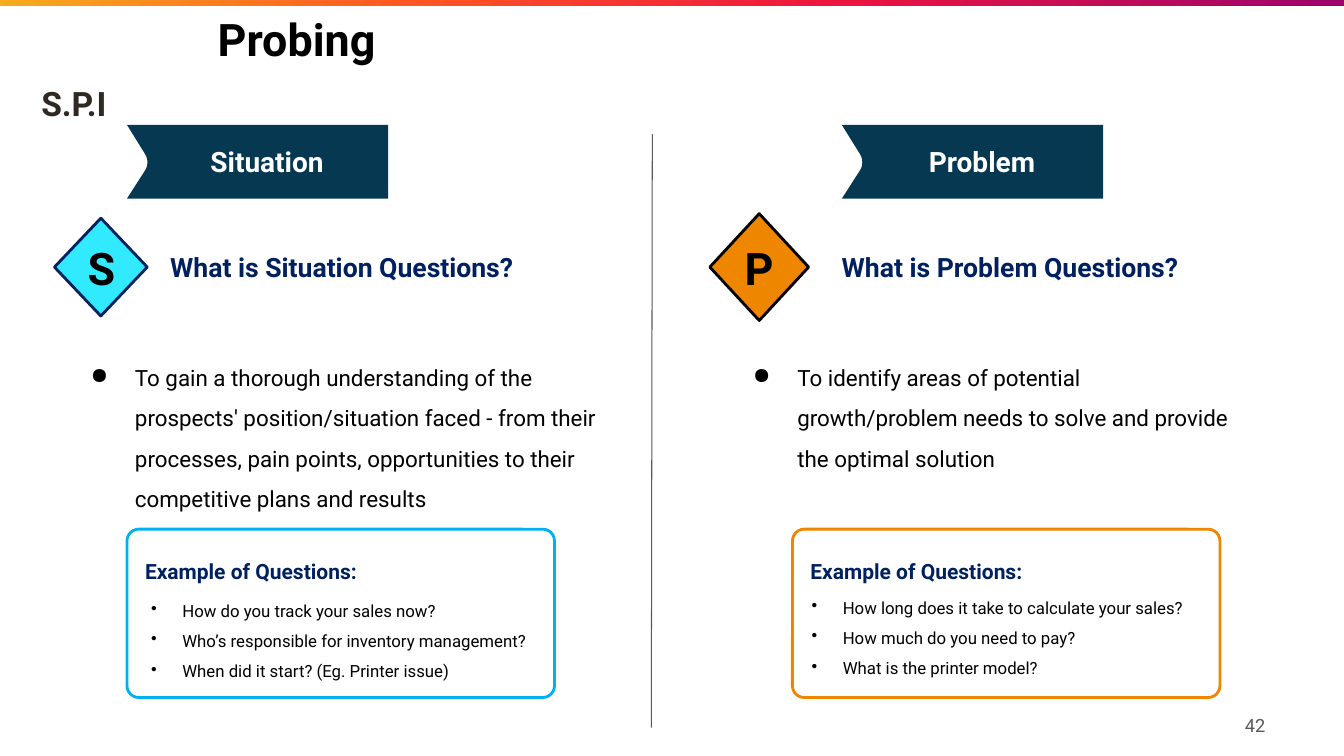
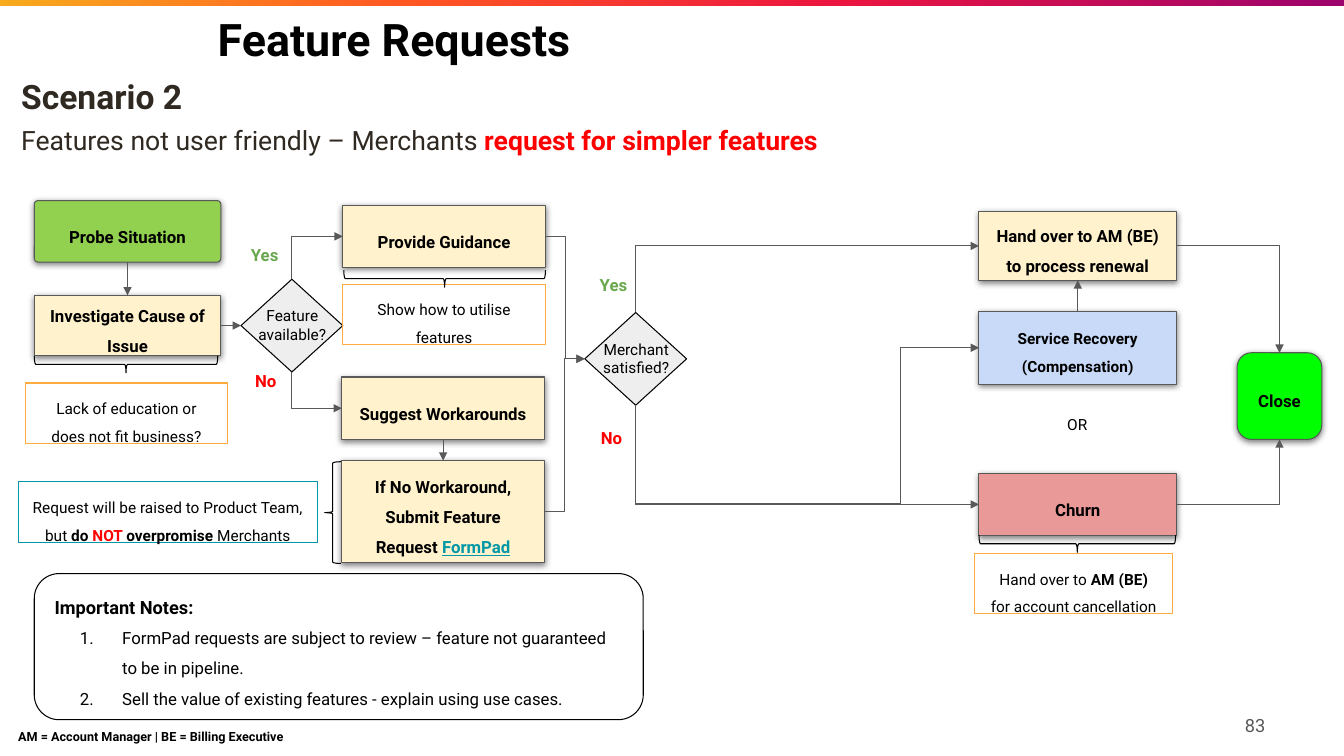
import dataclasses

import lxml.etree
import pptx
import pptx.dml.color
import pptx.enum.shapes
import pptx.enum.text
import pptx.oxml
import pptx.oxml.ns
import pptx.util

Inches = pptx.util.Inches
Shape = pptx.enum.shapes.MSO_SHAPE
Connector = pptx.enum.shapes.MSO_CONNECTOR
Align = pptx.enum.text.PP_ALIGN
Anchor = pptx.enum.text.MSO_ANCHOR
qn = pptx.oxml.ns.qn
TOP, LEFT, BOTTOM, RIGHT = range(4)


@dataclasses.dataclass(frozen=True)
class Theme:
    """Colours, font and type sizes of the deck."""
    font: str = "Roboto"
    black: str = "000000"
    white: str = "FFFFFF"
    ink: str = "2F2922"
    grey: str = "595959"
    navy: str = "002060"
    banner: str = "063951"
    cyan: str = "31EAFE"
    sky: str = "00B0F0"
    orange: str = "EF8600"
    amber: str = "FFAB40"
    teal: str = "0097A7"
    red: str = "FF0000"
    green: str = "6AA84F"
    start: str = "92D050"
    step: str = "FFF2CC"
    recovery: str = "C9DAF8"
    churn: str = "EA9999"
    close: str = "00FF00"
    decision: str = "EEEEEE"
    band: tuple = ((0, "F7AB1D"), (30, "FF5722"), (62, "EC153F"), (100, "9C036D"))
    title: int = 32
    subtitle: int = 24
    banner_size: int = 20
    lead: int = 19
    body: int = 16
    card: int = 15
    number: int = 13
    node: int = 12
    note: int = 11
    legend: int = 9


THEME = Theme()


@dataclasses.dataclass(frozen=True)
class Box:
    """A rectangle in inches."""
    left: float
    top: float
    width: float
    height: float

    def inner(self, left, top, width, height):
        """Return a box placed relative to this one."""
        return Box(self.left + left, self.top + top, width, height)

    def emu(self):
        """Return the four lengths for python-pptx."""
        return [Inches(v) for v in (self.left, self.top, self.width, self.height)]


@dataclasses.dataclass(frozen=True)
class Topic:
    """Content and placing of one question type."""
    name: str
    purpose: str
    questions: tuple
    badge_fill: str
    badge_line: str
    card_line: str
    badge: tuple
    banner_left: float
    heading_left: float
    body_left: float
    card_left: float
    list_offset: tuple


def rgb(colour):
    """Turn RRGGBB into a colour."""
    return pptx.dml.color.RGBColor.from_string(colour)


def add_bullet(paragraph, tag, margin, hanging, **attributes):
    """Give a paragraph a hanging bullet or number."""
    properties = paragraph._p.get_or_add_pPr()
    properties.set("marL", str(Inches(margin)))
    properties.set("indent", str(-Inches(hanging)))
    colour = lxml.etree.SubElement(properties, qn("a:buClr"))
    lxml.etree.SubElement(colour, qn("a:srgbClr")).set("val", THEME.black)
    lxml.etree.SubElement(properties, qn(tag), attributes)


def write(shape, paragraphs, size, colour=THEME.black, bold=False, align=Align.LEFT,
          anchor=Anchor.TOP, inset=(0.1, 0.05), spacing=None, bullet=None):
    """Fill a shape with paragraphs of text or of (text, overrides) runs."""
    frame = shape.text_frame
    frame.word_wrap = True
    frame.vertical_anchor = anchor
    frame.margin_left = frame.margin_right = Inches(inset[0])
    frame.margin_top = frame.margin_bottom = Inches(inset[1])
    for index, content in enumerate(paragraphs):
        paragraph = frame.add_paragraph() if index else frame.paragraphs[0]
        paragraph.alignment = align
        if spacing:
            paragraph.line_spacing = spacing
        if bullet:
            add_bullet(paragraph, "a:buChar", *bullet[1:], char=bullet[0])
        for text, changes in [(content, {})] if isinstance(content, str) else content:
            run = paragraph.add_run()
            run.text = text
            font = run.font
            font.name = THEME.font
            font.size = pptx.util.Pt(changes.get("size", size))
            font.bold = changes.get("bold", bold)
            font.underline = changes.get("underline")
            font.color.rgb = rgb(changes.get("colour", colour))
    return shape


def add_text(shapes, box, paragraphs, size, **style):
    """Add a text box."""
    return write(shapes.add_textbox(*box.emu()), paragraphs, size, **style)


def paint(shape, fill=None, line=None, weight=0.75):
    """Set fill and outline and drop the shadow."""
    shape.shadow.inherit = False
    if fill:
        shape.fill.solid()
        shape.fill.fore_color.rgb = rgb(fill)
    else:
        shape.fill.background()
    if line:
        shape.line.color.rgb = rgb(line)
        shape.line.width = pptx.util.Pt(weight)
    else:
        shape.line.fill.background()


def add_shape(shapes, kind, box, fill=None, line=None, weight=0.75, corner=None):
    """Add a painted preset shape."""
    shape = shapes.add_shape(kind, *box.emu())
    if corner is not None:
        shape.adjustments[0] = corner
    paint(shape, fill, line, weight)
    return shape


def style_connector(connector, arrow=True):
    """Give a connector its line, arrowhead and no shadow."""
    connector.line.color.rgb = rgb(THEME.grey)
    connector.line.width = pptx.util.Pt(0.75)
    if arrow:
        lxml.etree.SubElement(connector.line._get_or_add_ln(), qn("a:tailEnd")).set("type", "triangle")
    lxml.etree.SubElement(connector._element.spPr, qn("a:effectLst"))


def link(slide, start, start_site, end, end_site, preset=None, bends=()):
    """Join two shapes with an arrow, turning elbows that leave vertically."""
    kind = Connector.ELBOW if preset else Connector.STRAIGHT
    arrow = slide.shapes.add_connector(kind, 0, 0, 0, 0)
    arrow.begin_connect(start, start_site)
    arrow.end_connect(end, end_site)
    properties = arrow._element.spPr
    if preset:
        geometry = properties.find(qn("a:prstGeom"))
        geometry.set("prst", preset)
        guides = geometry.find(qn("a:avLst"))
        for index, bend in enumerate(bends, 1):
            lxml.etree.SubElement(guides, qn("a:gd"), name=f"adj{index}", fmla=f"val {round(bend * 100000)}")
        if start_site in (TOP, BOTTOM):
            goes_down = arrow.end_y > arrow.begin_y
            left, top, width, height = arrow.left, arrow.top, arrow.width, arrow.height
            arrow.left, arrow.top = left + (width - height) // 2, top + (height - width) // 2
            arrow.width, arrow.height = height, width
            transform = properties.find(qn("a:xfrm"))
            transform.set("rot", "16200000")
            transform.set("flipH", str(int(goes_down)))
            transform.set("flipV", "0")
    style_connector(arrow)


def add_frame(slide, title, number):
    """Draw the gradient band, title and page number."""
    band = add_shape(slide.shapes, Shape.RECTANGLE, Box(0, 0, 13.33, 0.06))
    stops = "".join(f'<a:gs pos="{pos * 1000}"><a:srgbClr val="{colour}"/></a:gs>' for pos, colour in THEME.band)
    gradient = pptx.oxml.parse_xml(
        f'<a:gradFill {pptx.oxml.ns.nsdecls("a")}><a:gsLst>{stops}</a:gsLst><a:lin ang="2700000" scaled="0"/></a:gradFill>')
    properties = band._element.spPr
    properties.replace(properties.find(qn("a:noFill")), gradient)
    add_text(slide.shapes, Box(2.13, 0, 8.46, 0.77), [title], THEME.title, bold=True,
             anchor=Anchor.MIDDLE, inset=(0.03, 0.03))
    add_text(slide.shapes, Box(11.88, 6.91, 0.8, 0.57), [number], THEME.number, colour=THEME.grey,
             align=Align.RIGHT, anchor=Anchor.MIDDLE, inset=(0.13, 0.13))


def add_subtitle(slide, box, content, size, bold):
    """Add a line under the title."""
    add_text(slide.shapes, box, [content], size, colour=THEME.ink, bold=bold,
             anchor=Anchor.MIDDLE, inset=(0.03, 0.03))


def add_banner(slide, box, name):
    """Draw a notched ribbon with its name."""
    tip = ((0.18, 0.29), (0.21, 0.34), (0.21, 0.4), (0.18, 0.45))
    curve = []
    for step in range(9):
        t = step / 8
        weights = ((1 - t) ** 3, 3 * t * (1 - t) ** 2, 3 * t * t * (1 - t), t ** 3)
        curve.append([sum(w * point[axis] for w, point in zip(weights, tip)) for axis in (0, 1)])
    outline = curve + [(0, box.height), (box.width, box.height), (box.width, 0)]
    builder = slide.shapes.build_freeform(Inches(box.left), Inches(box.top))
    builder.add_line_segments([(Inches(box.left + x), Inches(box.top + y)) for x, y in outline], close=True)
    paint(builder.convert_to_shape(), THEME.banner)
    add_text(slide.shapes, box.inner(0.54, 0.14, 1.7, 0.44), [name], THEME.banner_size,
             colour=THEME.white, bold=True, align=Align.CENTER)


def add_card(slide, box, topic):
    """Draw the grouped card of example questions."""
    shapes = slide.shapes.add_group_shape().shapes
    add_shape(shapes, Shape.ROUNDED_RECTANGLE, box, line=topic.card_line, weight=2, corner=0.07)
    add_text(shapes, box.inner(*topic.list_offset, 3.98, 1.1), topic.questions, THEME.node,
             spacing=1.5, bullet=("•", 0.32, 0.31))
    add_text(shapes, box.inner(0.08, 0.12, 3.73, 0.42), ["Example of Questions:"], THEME.card,
             colour=THEME.navy, bold=True, spacing=1.5)


def add_topic(slide, box, topic):
    """Draw one column about a question type."""
    width, height = topic.badge
    add_banner(slide, box.inner(topic.banner_left, 0, 2.59, 0.73), topic.name)
    badge = add_shape(slide.shapes, Shape.DIAMOND, box.inner(0, 1.41 - height / 2, width, height),
                      topic.badge_fill, topic.badge_line, 2)
    write(badge, [topic.name[0]], THEME.title, bold=True, align=Align.CENTER, anchor=Anchor.MIDDLE)
    add_text(slide.shapes, box.inner(topic.heading_left, 1.2, 3.83, 0.42),
             [f"What is {topic.name} Questions?"], THEME.lead, colour=THEME.navy, bold=True)
    add_text(slide.shapes, box.inner(topic.body_left, 2.19, box.width, 1.54), [topic.purpose], THEME.body,
             spacing=1.5, bullet=("●", 0.67, 0.44))
    add_card(slide, box.inner(topic.card_left, 4.01, 4.24, 1.67), topic)


def build_probing(slide):
    """Build the slide on situation and problem questions."""
    add_frame(slide, "Probing", "42")
    add_subtitle(slide, Box(0.38, 0.82, 5.23, 0.4), "S.P.I", THEME.subtitle, True)
    situation = Topic(
        "Situation", "To gain a thorough understanding of the prospects' position/situation faced - from their "
        "processes, pain points, opportunities to their competitive plans and results",
        ("How do you track your sales now?", "Who’s responsible for inventory management?",
         "When did it start? (Eg. Printer issue)"),
        THEME.cyan, THEME.navy, THEME.sky, (0.92, 0.97), 0.72, 1.05, 0.03, 0.72, (0.13, 0.56))
    problem = Topic(
        "Problem", "To identify areas of potential growth/problem needs to solve and provide the optimal solution",
        ("How long does it take to calculate your sales?", "How much do you need to pay?",
         "What is the printer model?"),
        THEME.orange, THEME.black, THEME.orange, (0.98, 1.06), 1.31, 1.21, 0.1, 0.82, (0.08, 0.53))
    add_topic(slide, Box(0.54, 1.24, 5.62, 5.68), situation)
    add_topic(slide, Box(7.04, 1.24, 5.17, 5.68), problem)
    divider = slide.shapes.add_connector(Connector.STRAIGHT, Inches(6.47), Inches(1.33), Inches(6.46), Inches(7.22))
    style_connector(divider, arrow=False)


def add_node(slide, box, lines, fill=THEME.step, size=THEME.node, corner=None):
    """Draw a shadowed step of the flow."""
    kind = Shape.RECTANGLE if corner is None else Shape.ROUNDED_RECTANGLE
    node = add_shape(slide.shapes, kind, box, fill, THEME.grey, corner=corner)
    shadow = lxml.etree.SubElement(node._element.spPr.find(qn("a:effectLst")), qn("a:outerShdw"),
                                   blurRad="57150", dist="19050", dir="5400000", algn="bl", rotWithShape="0")
    colour = lxml.etree.SubElement(shadow, qn("a:srgbClr"), val=THEME.black)
    lxml.etree.SubElement(colour, qn("a:alpha"), val="50000")
    return write(node, lines, size, bold=True, align=Align.CENTER, anchor=Anchor.MIDDLE,
                 inset=(0.13, 0.13), spacing=1.5)


def add_decision(slide, box, lines):
    """Draw a decision diamond with its question."""
    diamond = add_shape(slide.shapes, Shape.DIAMOND, box, THEME.decision, THEME.black)
    add_label(slide, box.inner(-0.28, 0.14, 1.58, 0.64), lines, THEME.black, THEME.note, False)
    return diamond


def add_label(slide, box, lines, colour, size=THEME.node, bold=True):
    """Add a loose word beside the flow."""
    add_text(slide.shapes, box, lines, size, colour=colour, bold=bold, align=Align.CENTER, inset=(0.13, 0.13))


def add_remark(slide, box, content, line=THEME.amber):
    """Draw an outlined remark."""
    write(add_shape(slide.shapes, Shape.RECTANGLE, box, line=line), [content], THEME.note,
          align=Align.CENTER, inset=(0.13, 0.07), spacing=1.5)


def add_brace(slide, box, rotation):
    """Draw a brace that fills the box once rotated."""
    if rotation == 90:
        box = box.inner((box.width - box.height) / 2, (box.height - box.width) / 2, box.height, box.width)
    add_shape(slide.shapes, Shape.RIGHT_BRACE, box, line=THEME.black).rotation = rotation


def add_flow(slide, box):
    """Draw the request flow with its remarks and arrows."""
    probe = add_node(slide, box.inner(0, 0, 1.85, 0.61), ["Probe Situation"], THEME.start, corner=0.06)
    investigate = add_node(slide, box.inner(0, 0.94, 1.85, 0.6), ["Investigate Cause of Issue"])
    guidance = add_node(slide, box.inner(3.06, 0.05, 2.01, 0.61), ["Provide Guidance"])
    workaround = add_node(slide, box.inner(3.05, 1.75, 2.01, 0.62), ["Suggest Workarounds"])
    request = add_node(slide, box.inner(3.05, 2.58, 2.01, 1.01), [
        "If No Workaround,",
        [("Submit Feature Request ", {}), ("FormPad", {"colour": THEME.teal, "underline": True})]])
    renewal = add_node(slide, box.inner(9.37, 0.11, 1.96, 0.68), ["Hand over to AM (BE) to process renewal"])
    recovery = add_node(slide, box.inner(9.37, 1.1, 1.96, 0.72), ["Service Recovery", "(Compensation)"],
                        THEME.recovery, THEME.note)
    churn = add_node(slide, box.inner(9.37, 2.71, 1.96, 0.61), ["Churn"], THEME.churn)
    close = add_node(slide, box.inner(11.93, 1.51, 0.84, 0.86), ["Close"], THEME.close, corner=0.17)
    available = add_decision(slide, box.inner(2.05, 0.78, 1.01, 0.92), ["Feature", "available?"])
    satisfied = add_decision(slide, box.inner(5.46, 1.11, 1.01, 0.92), ["Merchant", "satisfied?"])

    for left, top, word, colour in ((1.91, 0.34, "Yes", THEME.green), (1.92, 1.59, "No", THEME.red),
                                    (5.37, 0.64, "Yes", THEME.green), (5.35, 2.15, "No", THEME.red)):
        add_label(slide, box.inner(left, top, 0.75, 0.47), [word], colour)
    add_label(slide, box.inner(9.68, 2.04, 1.33, 0.45), ["OR"], THEME.black, THEME.note, False)

    add_remark(slide, box.inner(3.06, 0.83, 2.01, 0.6), "Show how to utilise features")
    add_remark(slide, box.inner(-0.09, 1.81, 2.01, 0.6), "Lack of education or does not fit business?")
    add_remark(slide, box.inner(9.33, 3.5, 1.96, 0.6), [
        ("Hand over to ", {}), ("AM (BE)", {"bold": True}), (" for account cancellation", {})])
    add_remark(slide, box.inner(-0.16, 2.79, 2.97, 0.6), [
        ("Request will be raised to Product Team, but ", {}), ("do ", {"bold": True}),
        ("NOT ", {"bold": True, "colour": THEME.red}), ("overpromise", {"bold": True}), (" Merchants", {})],
        THEME.teal)
    for left, top, width in ((0, 1.54, 1.82), (3.07, 0.69, 2), (9.37, 3.32, 1.95)):
        add_brace(slide, box.inner(left, top, width, 0.17), 90)
    add_brace(slide, box.inner(2.88, 2.59, 0.16, 1.01), 180)

    for arrow in ((probe, BOTTOM, investigate, TOP), (investigate, RIGHT, available, LEFT),
                  (workaround, BOTTOM, request, TOP), (recovery, TOP, renewal, BOTTOM),
                  (available, TOP, guidance, LEFT, "bentConnector2"),
                  (available, BOTTOM, workaround, LEFT, "bentConnector2"),
                  (guidance, RIGHT, satisfied, LEFT, "bentConnector3", (0.5,)),
                  (request, RIGHT, satisfied, LEFT, "bentConnector3", (0.5,)),
                  (satisfied, TOP, renewal, LEFT, "bentConnector2"),
                  (satisfied, BOTTOM, churn, LEFT, "bentConnector2"),
                  (satisfied, BOTTOM, recovery, LEFT, "bentConnector4", (-1.71, 0.77)),
                  (renewal, RIGHT, close, TOP, "bentConnector2"),
                  (churn, RIGHT, close, BOTTOM, "bentConnector2")):
        link(slide, *arrow)


def add_notes_panel(slide, box):
    """Draw the rounded panel of numbered notes."""
    panel = add_shape(slide.shapes, Shape.ROUNDED_RECTANGLE, box, line=THEME.black, corner=0.17)
    write(panel, [[("Important Notes:", {"size": THEME.number, "bold": True})],
                  "FormPad requests are subject to review – feature not guaranteed to be in pipeline.",
                  "Sell the value of existing features - explain using use cases."],
          THEME.node, anchor=Anchor.MIDDLE, inset=(0.13, 0.07), spacing=1.5)
    for paragraph in panel.text_frame.paragraphs[1:]:
        add_bullet(paragraph, "a:buAutoNum", 0.67, 0.42, type="arabicPeriod")


def build_requests(slide):
    """Build the slide on handling feature requests."""
    add_frame(slide, "Feature Requests", "83")
    add_subtitle(slide, Box(0.18, 0.75, 10.78, 0.4), "Scenario 2", THEME.subtitle, True)
    add_subtitle(slide, Box(0.18, 1.19, 11.45, 0.4), [
        ("Features not user friendly – Merchants ", {}),
        ("request for simpler features", {"colour": THEME.red, "bold": True})], THEME.lead, False)
    add_flow(slide, Box(0.34, 1.99, 12.77, 4.1))
    add_notes_panel(slide, Box(0.34, 5.69, 6.04, 1.45))
    add_text(slide.shapes, Box(0, 7.03, 5.62, 0.56), ["AM = Account Manager | BE = Billing Executive"],
             THEME.legend, bold=True, anchor=Anchor.MIDDLE, inset=(0.18, 0.18))


def main():
    """Build and save the deck."""
    deck = pptx.Presentation()
    deck.slide_width, deck.slide_height = Inches(13.33), Inches(7.5)
    for build in (build_probing, build_requests):
        build(deck.slides.add_slide(deck.slide_layouts[6]))
    deck.save("out.pptx")


if __name__ == "__main__":
    main()
